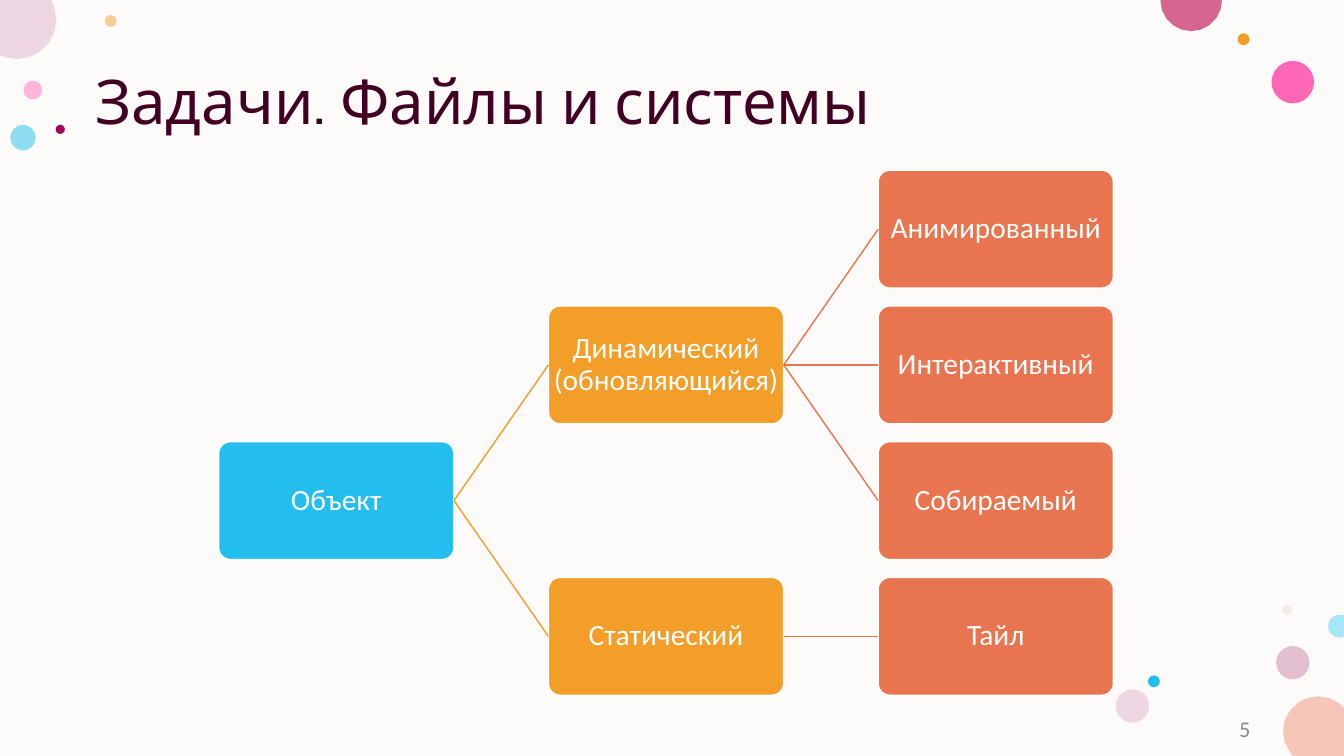
from dataclasses import dataclass
from math import atan2, cos, hypot, sin, sqrt, tau

from lxml.etree import SubElement
from pptx import Presentation
from pptx.dml.color import RGBColor
from pptx.enum.shapes import MSO_CONNECTOR, MSO_SHAPE
from pptx.enum.text import MSO_ANCHOR, PP_ALIGN
from pptx.oxml.ns import qn
from pptx.util import Cm, Pt


@dataclass(frozen=True)
class Theme:
    background: str = "FDFBF9"
    title: str = "420023"
    number: str = "8C8C8C"
    white: str = "FFFFFF"
    blue: str = "24BEEE"
    orange: str = "F39E29"
    coral: str = "E87450"
    peach: str = "F6C7B9"
    lilac: str = "EDD7E2"
    mauve: str = "C987A8"
    blush: str = "E3BEBE"
    rose: str = "D6658F"
    candy: str = "FF75BD"
    pink: str = "FF2F9C"
    plum: str = "A40056"
    sky: str = "A7E5F8"
    title_font: str = "Cabin"
    body_font: str = "Calibri"
    title_size: int = 44
    node_size: int = 21
    number_size: int = 16
    line_width: int = 1


@dataclass(frozen=True)
class Bubble:
    x: float
    y: float
    diameter: float
    color: str
    opacity: int = 100


@dataclass(frozen=True)
class Node:
    text: str
    column: int
    row: int
    parent: str = ""


THEME = Theme()
WIDTH, HEIGHT = 33.87, 19.05
LEFT, TOP = 5.51, 4.29
NODE_WIDTH, NODE_HEIGHT = 5.93, 2.97
COLUMN_STEP, ROW_STEP = 8.31, 3.42
LEFT_SITE, RIGHT_SITE = 1, 3
ARC_STEPS = 20
LEVEL_COLORS = (THEME.blue, THEME.orange, THEME.coral)

BUBBLES = (
    Bubble(0.83, 2.27, 0.48, THEME.candy, 50),
    Bubble(2.79, 0.53, 0.3, THEME.orange, 50),
    Bubble(32.58, 16.7, 0.84, THEME.mauve, 50),
    Bubble(0.58, 3.47, 0.64, THEME.blue, 50),
    Bubble(32.58, 2.07, 1.07, THEME.pink, 72),
    Bubble(31.34, 0.99, 0.3, THEME.orange),
    Bubble(32.44, 15.37, 0.25, THEME.blush, 28),
    Bubble(29.08, 17.17, 0.3, THEME.blue),
    Bubble(28.54, 17.79, 0.84, THEME.lilac),
    Bubble(33.22, 18.43, 1.77, THEME.peach),
    Bubble(0.43, 0.5, 1.98, THEME.lilac),
    Bubble(30.02, 0.01, 1.55, THEME.rose),
    Bubble(1.52, 3.26, 0.23, THEME.plum),
    Bubble(33.76, 15.78, 0.58, THEME.sky),
)

DYNAMIC = "Динамический (обновляющийся)"
NODES = (
    Node("Объект", 0, 2),
    Node(DYNAMIC, 1, 1, "Объект"),
    Node("Анимированный", 2, 0, DYNAMIC),
    Node("Интерактивный", 2, 1, DYNAMIC),
    Node("Собираемый", 2, 2, DYNAMIC),
    Node("Статический", 1, 3, "Объект"),
    Node("Тайл", 2, 3, "Статический"),
)


def paint(shape, color: str, opacity: int = 100) -> None:
    shape.shadow.inherit = False
    shape.fill.solid()
    shape.fill.fore_color.rgb = RGBColor.from_string(color)
    if opacity < 100:
        tint = shape.fill._xPr.find(qn("a:solidFill"))[0]
        SubElement(tint, qn("a:alpha"), val=str(opacity * 1000))


def write(shape, text: str, font: str, size: int, color: str, align: PP_ALIGN,
          anchor: MSO_ANCHOR = MSO_ANCHOR.MIDDLE, spacing: float = 0.9) -> None:
    frame = shape.text_frame
    frame.word_wrap = True
    frame.vertical_anchor = anchor
    para = frame.paragraphs[0]
    para.text = text
    para.alignment = align
    para.line_spacing = spacing
    para.font.name = font
    para.font.size = Pt(size)
    para.font.color.rgb = RGBColor.from_string(color)


def cut_outline(bubble: Bubble) -> list[tuple[float, float]]:
    x, y, radius = bubble.x, bubble.y, bubble.diameter / 2
    angles = [tau * step / ARC_STEPS for step in range(ARC_STEPS)]
    points = [(x + radius * cos(angle), y + radius * sin(angle)) for angle in angles]
    for edge in (0, WIDTH):
        if abs(edge - x) < radius:
            reach = sqrt(radius ** 2 - (edge - x) ** 2)
            points += [(edge, y - reach), (edge, y + reach)]
    for edge in (0, HEIGHT):
        if abs(edge - y) < radius:
            reach = sqrt(radius ** 2 - (edge - y) ** 2)
            points += [(x - reach, edge), (x + reach, edge)]
    points += [(across, down) for across in (0, WIDTH) for down in (0, HEIGHT)
               if hypot(across - x, down - y) < radius]
    visible = [point for point in points
               if 0 <= point[0] <= WIDTH and 0 <= point[1] <= HEIGHT]
    return sorted(visible, key=lambda point: atan2(point[1] - y, point[0] - x))


def draw_bubble(page, bubble: Bubble) -> None:
    radius = bubble.diameter / 2
    inside = (radius <= bubble.x <= WIDTH - radius
              and radius <= bubble.y <= HEIGHT - radius)
    if inside:
        shape = page.shapes.add_shape(
            MSO_SHAPE.OVAL, Cm(bubble.x - radius), Cm(bubble.y - radius),
            Cm(bubble.diameter), Cm(bubble.diameter))
    else:
        points = [(Cm(x), Cm(y)) for x, y in cut_outline(bubble)]
        builder = page.shapes.build_freeform(*points[0])
        builder.add_line_segments(points[1:], close=True)
        shape = builder.convert_to_shape()
    paint(shape, bubble.color, bubble.opacity)
    shape.line.fill.background()


def draw_node(page, node: Node):
    box = page.shapes.add_shape(
        MSO_SHAPE.ROUNDED_RECTANGLE,
        Cm(LEFT + node.column * COLUMN_STEP), Cm(TOP + node.row * ROW_STEP),
        Cm(NODE_WIDTH), Cm(NODE_HEIGHT))
    box.adjustments[0] = 0.1
    paint(box, LEVEL_COLORS[node.column])
    box.line.color.rgb = RGBColor.from_string(THEME.white)
    box.line.width = Pt(THEME.line_width)
    frame = box.text_frame
    frame.margin_left = frame.margin_right = Cm(0.05)
    frame.margin_top = frame.margin_bottom = Cm(0.05)
    write(box, node.text, THEME.body_font, THEME.node_size, THEME.white,
          PP_ALIGN.CENTER)
    return box


def draw_branch(page, parent, child, color: str) -> None:
    branch = page.shapes.add_connector(MSO_CONNECTOR.STRAIGHT, 0, 0, 0, 0)
    branch.begin_connect(parent, RIGHT_SITE)
    branch.end_connect(child, LEFT_SITE)
    branch.line.color.rgb = RGBColor.from_string(color)
    branch.line.width = Pt(THEME.line_width)
    SubElement(branch._element.spPr, qn("a:effectLst"))


deck = Presentation()
deck.slide_width, deck.slide_height = Cm(WIDTH), Cm(HEIGHT)
page = deck.slides.add_slide(deck.slide_layouts[6])
backdrop = page.shapes.add_shape(MSO_SHAPE.RECTANGLE, 0, 0, Cm(WIDTH), Cm(HEIGHT))
paint(backdrop, THEME.background)
backdrop.line.fill.background()

for bubble in BUBBLES:
    draw_bubble(page, bubble)

title = page.shapes.add_textbox(Cm(2.15), Cm(1.68), Cm(29.92), Cm(5))
write(title, "Задачи. Файлы и системы", THEME.title_font, THEME.title_size,
      THEME.title, PP_ALIGN.LEFT, MSO_ANCHOR.TOP)

number = page.shapes.add_textbox(Cm(24.14), Cm(18.03), Cm(7.62), Cm(0.66))
write(number, "5", THEME.body_font, THEME.number_size, THEME.number,
      PP_ALIGN.RIGHT, spacing=1.0)

boxes = {}
for node in NODES:
    boxes[node.text] = draw_node(page, node)
    if node.parent:
        draw_branch(page, boxes[node.parent], boxes[node.text],
                    LEVEL_COLORS[node.column])

deck.save("out.pptx")
